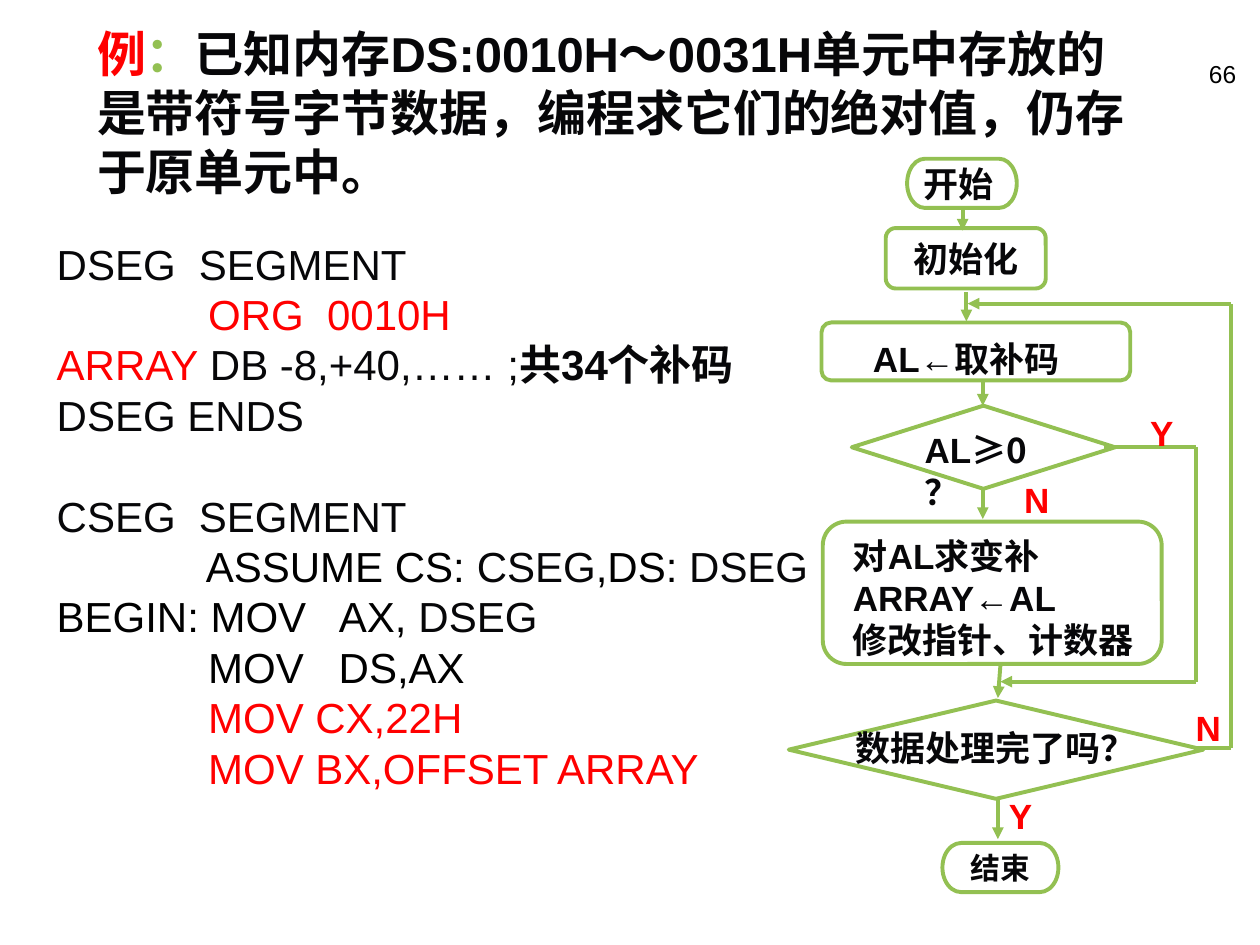
from itertools import pairwise

from lxml import etree
from pptx import Presentation
from pptx import util as u
from pptx.dml.color import RGBColor
from pptx.enum import shapes, text
from pptx.oxml.ns import qn

PX = u.Inches(1) // 100
GREEN = RGBColor(0x93, 0xC0, 0x52)
RED = RGBColor(0xFF, 0x00, 0x00)
INK = RGBColor(0x07, 0x07, 0x09)
BLACK = RGBColor(0x00, 0x00, 0x00)
CJK = "Noto Sans CJK SC"
LEFT, CENTER, RIGHT = text.PP_ALIGN.LEFT, text.PP_ALIGN.CENTER, text.PP_ALIGN.RIGHT
INDENT = " " * 13

KIND = shapes.MSO_SHAPE
ROUNDED = KIND.FLOWCHART_ALTERNATE_PROCESS
TERMINATOR = KIND.FLOWCHART_TERMINATOR
DECISION = KIND.FLOWCHART_DECISION


def place(shape, left, top, width, height):
    values = {"left": left, "top": top, "width": width, "height": height}
    for name, value in values.items():
        setattr(shape, name, value * PX)


def write(shape, paragraphs, size, align=LEFT, anchor=text.MSO_ANCHOR.TOP, wrap=True):
    """Each paragraph is a list of (words, format values) runs."""
    frame = shape.text_frame
    settings = {
        "word_wrap": wrap, "auto_size": text.MSO_AUTO_SIZE.NONE, "vertical_anchor": anchor,
        "margin_left": 10 * PX, "margin_right": 10 * PX,
        "margin_top": 5 * PX, "margin_bottom": 5 * PX,
    }
    for name, value in settings.items():
        setattr(frame, name, value)
    for number, runs in enumerate(paragraphs):
        para = frame.add_paragraph() if number else frame.paragraphs[0]
        para.alignment = align
        para.space_before = u.Pt(0)
        for words, changes in runs:
            span = para.add_run()
            span.text = words
            values = {"name": "Arial", "size": u.Pt(size), "bold": False, "color": INK} | changes
            span.font.color.rgb = values.pop("color")
            for name, value in values.items():
                setattr(span.font, name, value)


def add_title(page, box):
    title = page.shapes.title
    place(title, *box)
    bold = {"bold": True}
    write(title, [[
        ("例", bold | {"color": RED}),
        ("：", bold | {"color": GREEN}),
        ("已知内存DS:0010H～0031H单元中存放的是带符号字节数据，编程求它们的绝对值，仍存于原单元中。", bold),
    ]], 28, anchor=text.MSO_ANCHOR.MIDDLE)


def add_code(page, box):
    body = page.placeholders[1]
    place(body, *box)
    red, black = {"color": RED}, {"color": BLACK}
    write(body, [
        [("DSEG  SEGMENT", {})],
        [(INDENT + "ORG  0010H", red)],
        [("ARRAY", red), (" DB -8,+40,…… ;", {}), ("共34个补码", {"bold": True})],
        [("DSEG ENDS", {})],
        [("CSEG  SEGMENT", {})],
        [(INDENT + "ASSUME CS: ", black), ("CSEG", {}), (",DS: ", black), ("DSEG", {})],
        [("BEGIN: MOV   AX, ", black), ("DSEG", {})],
        [(INDENT + "MOV   DS,AX", black)],
        [(INDENT + "MOV CX,22H", red)],
        [(INDENT + "MOV BX,OFFSET ARRAY", red)],
    ], 24)
    for para in body.text_frame.paragraphs:
        properties = para._p.get_or_add_pPr()
        properties.set("marL", "0")
        properties.set("indent", "0")
        etree.SubElement(properties, qn("a:buNone"))
        para.line_spacing = u.Pt(28.8)
    # One line of air between the two segments
    body.text_frame.paragraphs[4].space_before = u.Pt(28.8)


def add_page_number(page, box):
    number = page.shapes.add_textbox(0, 0, 0, 0)
    place(number, *box)
    write(number, [[("66", {"color": BLACK})]], 14, RIGHT)


def add_flowchart(page, left, top):
    chart = page.shapes.add_group_shape().shapes

    def add_node(kind, x, y, width, height, words="", size=20):
        node = chart.add_shape(kind, 0, 0, 0, 0)
        place(node, left + x, top + y, width, height)
        node.shadow.inherit = False
        node.fill.background()
        node.line.color.rgb = GREEN
        node.line.width = u.Pt(2.25)
        if words:
            write(node, [[(words, {"bold": True})]], size, CENTER, text.MSO_ANCHOR.MIDDLE)

    def add_label(x, y, width, height, *paragraphs, wrap=False):
        label = chart.add_textbox(0, 0, 0, 0)
        place(label, left + x, top + y, width, height)
        bold = [[(words, {"bold": True} | changes) for words, changes in runs]
                for runs in paragraphs]
        write(label, bold, 20, wrap=wrap)

    def add_route(*points):
        for start, end in pairwise(points):
            line = chart.add_connector(
                shapes.MSO_CONNECTOR.STRAIGHT,
                (left + start[0]) * PX, (top + start[1]) * PX,
                (left + end[0]) * PX, (top + end[1]) * PX)
            line.line.color.rgb = GREEN
            line.line.width = u.Pt(2.25)
            etree.SubElement(line._element.spPr, qn("a:effectLst"))
        # Arrowhead on the last stretch only
        etree.SubElement(line.line._get_or_add_ln(), qn("a:tailEnd"), type="triangle")

    # Steps and decisions
    add_node(TERMINATOR, 94, 2, 87, 39)
    add_node(ROUNDED, 77, 57, 127, 48, "初始化")
    add_node(ROUNDED, 26, 132, 245, 46)
    add_node(DECISION, 50, 198, 209, 66)
    add_node(ROUNDED, 27, 290, 269, 113)
    add_node(DECISION, 0, 432, 329, 78)
    add_node(TERMINATOR, 122, 545, 92, 39, "结束", 17)

    # Downward arrows
    for x, y, end_x, end_y in [
        (138, 43, 138, 59), (141, 108, 141, 131), (154, 178, 154, 198),
        (154, 265, 154, 288), (168, 404, 166, 430), (166, 511, 166, 542),
    ]:
        add_route((x, y), (end_x, end_y))

    # Bypass for non-negative values, and the loop back
    add_route((250, 231), (323, 231), (323, 417), (168, 417))
    add_route((323, 470), (351, 470), (351, 117), (142, 117))

    # Wording of the steps
    add_label(97, 0, 79, 39, [("开始", {})])
    add_label(57, 139, 175, 44, [("AL←取补码", {})])
    add_label(98, 211, 124, 44, [("AL", {}), ("≥0？", {"name": CJK})], wrap=True)
    add_label(41, 295, 256, 110, [("对AL求变补ARRAY←AL", {})], [("修改指针、计数器", {})], wrap=True)
    add_label(43, 448, 242, 44, [("数据处理完了吗", {}), ("？", {"name": CJK})])

    # Branch marks
    for mark, x, y in [("Y", 277, 198), ("N", 177, 251), ("N", 313, 432), ("Y", 165, 502)]:
        add_label(x, y, 40, 44, [(mark, {"color": RED})])


def main():
    deck = Presentation()
    deck.slide_width, deck.slide_height = 1000 * PX, 750 * PX
    page = deck.slides.add_slide(deck.slide_layouts[1])
    add_page_number(page, (783, 42, 208, 50))
    add_title(page, (67, 14, 843, 150))
    add_code(page, (35, 184, 846, 530))
    add_flowchart(page, 626, 124)
    deck.save("out.pptx")


if __name__ == "__main__":
    main()
